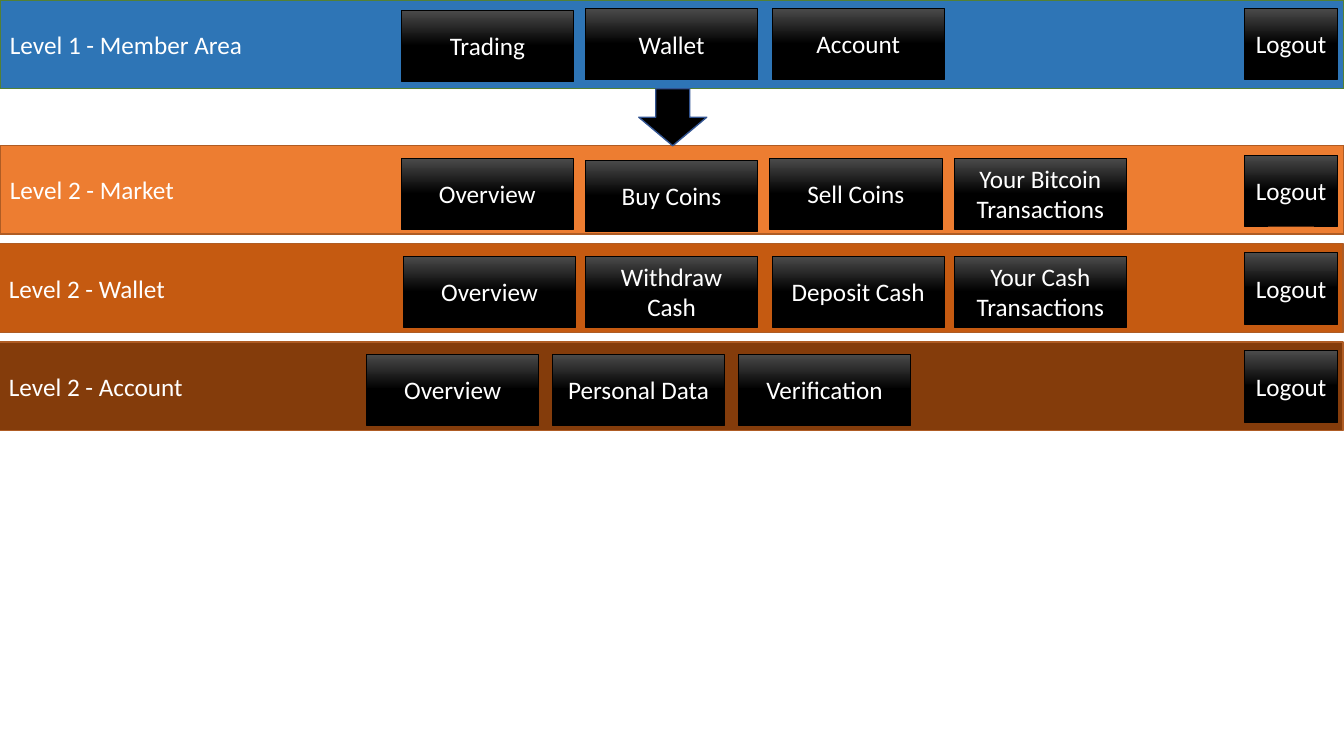
from copy import deepcopy

from pptx import Presentation
from pptx.dml.color import RGBColor
from pptx.enum.shapes import MSO_SHAPE
from pptx.enum.text import MSO_ANCHOR, PP_ALIGN
from pptx.oxml.ns import qn
from pptx.util import Pt

COLORS = {
    "text": "FFFFFF",
    "black": "000000",
    "button_top": "4B4B4B",
    "arrow_line": "325491",
    "member": "2E75B6",
    "member_line": "538035",
    "market": "ED7D31",
    "wallet": "C55A11",
    "account": "843C0B",
    "level_2_line": "AF5C24",
}
SLIDE_WIDTH, SLIDE_HEIGHT = 960, 540
BAND_HEIGHT = 63.4
BUTTON_WIDTH, BUTTON_HEIGHT = 123, 50.8
LOGOUT_LEFT, LOGOUT_WIDTH = 888.9, 66.6

# Label, left, top, fill, line, logout offset, buttons (text, left, offset from the band top)
BANDS = [
    ("Level 1 - Member Area", 0, 0, "member", "member_line", 5.8,
     [("Trading", 286.6, 7.2), ("Wallet", 418.2, 6.1), ("Account", 551.5, 5.8)]),
    ("Level 2 - Market", 0, 103.9, "market", "level_2_line", 6.8,
     [("Overview", 286.6, 9.1), ("Buy Coins", 418.2, 10.6),
      ("Sell Coins", 549.8, 9.1), ("Your Bitcoin Transactions", 681.6, 9.1)]),
    ("Level 2 - Wallet", -0.7, 174, "wallet", "level_2_line", 6.6,
     [("Overview", 288.2, 8.9), ("Withdraw Cash", 418.2, 8.9),
      ("Deposit Cash", 551.5, 8.9), ("Your Cash Transactions", 681.6, 8.9)]),
    ("Level 2 - Account", -0.7, 244.2, "account", "level_2_line", 6.4,
     [("Overview", 261.8, 8.6), ("Personal Data", 394.6, 8.6), ("Verification", 527.5, 8.6)]),
]


def rgb(name):
    return RGBColor.from_string(COLORS[name])


def add_block(slide, kind, left, top, width, height, line, line_width):
    shape = slide.shapes.add_shape(kind, Pt(left), Pt(top), Pt(width), Pt(height))
    shape.shadow.inherit = False
    shape.line.color.rgb = rgb(line)
    shape.line.width = Pt(line_width)
    return shape


def fill_solid(shape, color):
    shape.fill.solid()
    shape.fill.fore_color.rgb = rgb(color)


def fill_glossy(shape):
    """Grey at the top, black from the middle down."""
    shape.fill.gradient()
    shape.fill.gradient_angle = 270
    top_stop, middle_stop = shape.fill.gradient_stops
    top_stop.color.rgb = rgb("button_top")
    middle_stop.color.rgb = rgb("black")
    stop_list = shape.fill._fill._gradFill.find(qn("a:gsLst"))
    stop_list.append(deepcopy(stop_list[-1]))
    middle_stop.position = 0.5


def set_text(shape, text, alignment):
    frame = shape.text_frame
    frame.word_wrap = True
    frame.vertical_anchor = MSO_ANCHOR.MIDDLE
    frame.text = text
    paragraph = frame.paragraphs[0]
    paragraph.alignment = alignment
    paragraph.font.name = "Calibri"
    paragraph.font.size = Pt(18)
    paragraph.font.color.rgb = rgb("text")


def add_button(slide, text, left, top, width=BUTTON_WIDTH):
    shape = add_block(slide, MSO_SHAPE.RECTANGLE, left, top, width, BUTTON_HEIGHT, "black", 0.5)
    fill_glossy(shape)
    set_text(shape, text, PP_ALIGN.CENTER)


def add_band(slide, label, left, top, fill, line, logout_offset, buttons):
    shape = add_block(slide, MSO_SHAPE.RECTANGLE, left, top, SLIDE_WIDTH, BAND_HEIGHT, line, 1)
    fill_solid(shape, fill)
    set_text(shape, label, PP_ALIGN.LEFT)
    for text, button_left, offset in buttons:
        add_button(slide, text, button_left, top + offset)
    add_button(slide, "Logout", LOGOUT_LEFT, top + logout_offset, LOGOUT_WIDTH)


def add_arrow(slide):
    shape = add_block(slide, MSO_SHAPE.DOWN_ARROW, 456.3, BAND_HEIGHT, 48.5, 40.7, "arrow_line", 1)
    fill_solid(shape, "black")


def main():
    presentation = Presentation()
    presentation.slide_width = Pt(SLIDE_WIDTH)
    presentation.slide_height = Pt(SLIDE_HEIGHT)
    slide = presentation.slides.add_slide(presentation.slide_layouts[6])

    # Navigation levels
    for band in BANDS:
        add_band(slide, *band)

    # Link from level 1 to level 2
    add_arrow(slide)

    presentation.save("out.pptx")


if __name__ == "__main__":
    main()
